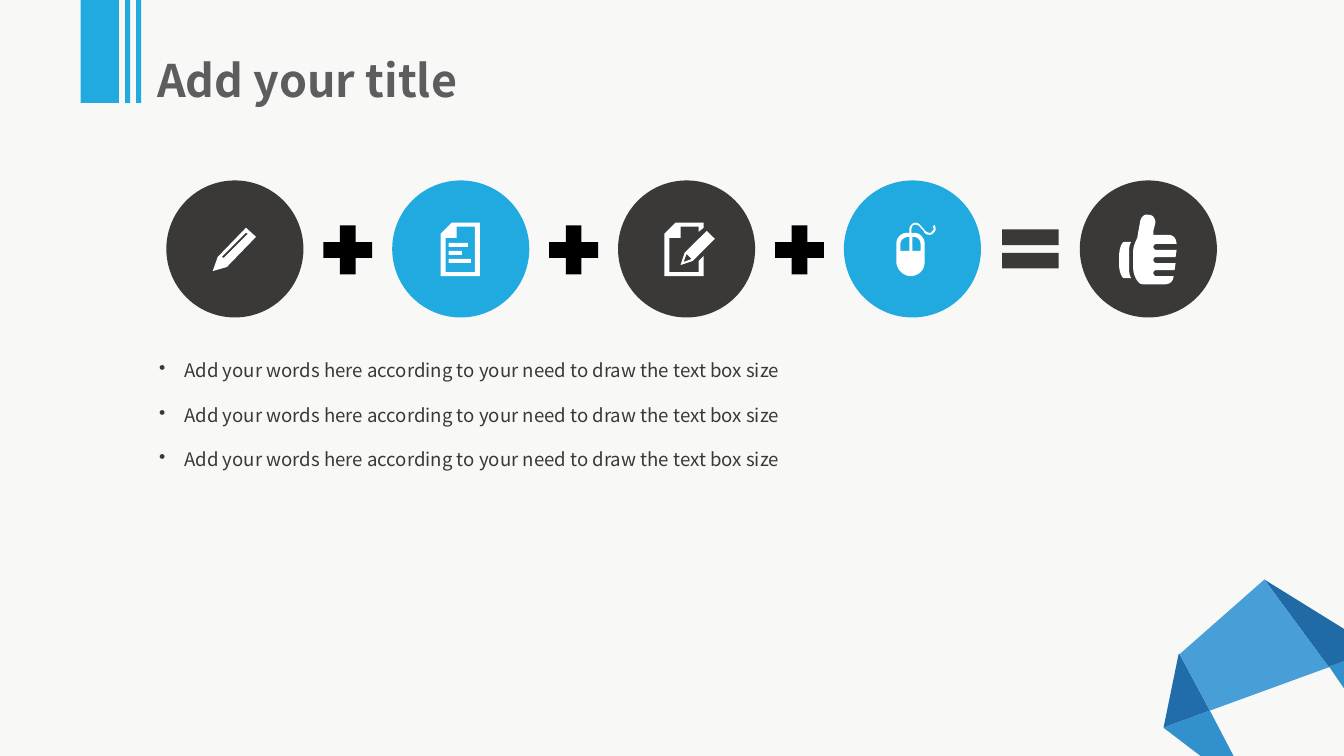
from lxml.etree import SubElement
from pptx import Presentation
from pptx.dml.color import RGBColor
from pptx.enum.shapes import MSO_SHAPE
from pptx.enum.text import MSO_ANCHOR, MSO_AUTO_SIZE, PP_ALIGN
from pptx.oxml.ns import qn
from pptx.util import Inches, Pt

COLORS = {
    "back": "F8F8F6", "dark": "3B3838", "blue": "21AAE0", "white": "FFFFFF",
    "black": "000000", "title": "5C5D5F", "navy": "216DAB", "deep": "206BA5",
    "mid": "3290CD", "light": "489ED7", "edge": "3291CA",
}

# Outlines in hundredths of an inch: "x,y" is a line, "a:b:c" a curve
FOLDS = [
    ("navy", ["1154,722 1169,649 1170,649 1200,705"]),
    ("deep", ["1318,662 1254,575 1333,624 1333,656"]),
    ("mid", ["1224,751 1192,751 1154,722 1200,705"]),
    ("light", ["1200,705 1170,649 1254,575 1318,662"]),
    ("edge", ["1333,683 1318,661 1333,656"]),
]
PENCIL = ["244,231 220,255 222,256 246,232",
          "244,226 254,235 225,265 211,269 216,255"]
PAGE = ["445,257 467,257 467,261 445,261",
        "445,249 458,249 458,253 445,253",
        "445,241 464,241 464,245 445,245",
        "453,225 453,236 442,236 442,270 471,270 471,225",
        "448,221 476,221 476,274 437,274 437,232"]
EDIT = ["681,252 678,260 686,257",
        "701,229 709,237 687,259 675,263 679,251",
        "670,221 698,221 698,226 693,230 693,225 675,225 675,236 664,236 "
        "664,270 693,270 693,259 698,254 698,274 659,274 659,232"]
MOUSE = ["905,235 905,249 913,249 913,242 913,238:910,235:906,235",
         "901,235 897,235:893,238:893,242 893,249 902,249 902,235",
         "908,221 910,221:912,222:914,225 916,227 918,230:920,231:922,231 "
         "923,231:924,231:924,230 925,229:926,228:926,227 "
         "926,226:925,225:925,225 927,223 928,227 928,229:927,230:926,231 "
         "925,232:924,233:922,233 919,233:917,232:916,229 913,226 "
         "912,224:910,223:908,223 907,223:906,223:905,224 "
         "905,225:904,226:904,227 904,231 907,231 912,231:917,236:917,241 "
         "917,261 917,268:911,274:903,274 896,274:890,268:889,261 "
         "889,241 889,236:894,231:899,231 902,231 902,227 "
         "902,225:903,224:904,223 905,222:906,221:908,221"]
THUMB = ["1115,240 1122,240 1120,243:1120,246:1120,249 1120,267 "
         "1120,270:1120,273:1122,276 1115,276 1112,276:1110,267:1110,264 "
         "1110,253 1110,249:1112,240:1115,240",
         "1139,213 1144,213:1146,217:1146,221 1144,229 1144,233 1159,233 "
         "1164,233:1167,237:1167,242 1147,242 1145,242:1144,244:1144,245 "
         "1144,246:1145,248:1147,248 1167,248 1166,255 1147,255 "
         "1145,255:1144,256:1144,258 1144,259:1145,261:1147,261 1166,261 "
         "1165,268 1147,268 1145,268:1144,269:1144,271 "
         "1144,272:1145,274:1147,274 1164,274 1164,279:1160,282:1156,282 "
         "1133,282 1128,282:1124,272:1124,267 1124,248 "
         "1124,245:1126,240:1128,236 1129,230 1131,219 "
         "1132,215:1135,212:1139,213"]


def trace(outline, steps=6):
    """Turn an outline into points in EMU, curves cut into short lines."""
    points = []
    for part in outline.split():
        ends = [tuple(map(float, pair.split(","))) for pair in part.split(":")]
        if len(ends) == 1:
            points += ends
            continue
        a, (b, c, d) = points[-1], ends
        for step in range(1, steps + 1):
            t = step / steps
            u = 1 - t
            points.append(tuple(
                u**3 * a[i] + 3 * u * u * t * b[i] + 3 * u * t * t * c[i] + t**3 * d[i]
                for i in (0, 1)))
    return [(Inches(x / 100), Inches(y / 100)) for x, y in points]


class Deck:
    font = "Noto Sans CJK SC"

    def __init__(self):
        self.file = Presentation()
        self.file.slide_width = Inches(13.33)
        self.file.slide_height = Inches(7.5)
        self.slide = self.file.slides.add_slide(self.file.slide_layouts[5])
        fill = self.slide.background.fill
        fill.solid()
        fill.fore_color.rgb = self.color("back")

    def color(self, name):
        return RGBColor.from_string(COLORS[name])

    def paint(self, shape, color):
        shape.shadow.inherit = False
        shape.fill.solid()
        shape.fill.fore_color.rgb = self.color(color)
        shape.line.fill.background()

    def shape(self, kind, x, y, w, h, color):
        box = map(Inches, (x, y, w, h))
        self.paint(self.slide.shapes.add_shape(kind, *box), color)

    def draw(self, outlines, color):
        first, *rest = [trace(outline) for outline in outlines]
        pen = self.slide.shapes.build_freeform(*first[0], scale=1.0)
        pen.add_line_segments(first[1:], close=True)
        for points in rest:
            pen.move_to(*points[0])
            pen.add_line_segments(points[1:], close=True)
        self.paint(pen.convert_to_shape(), color)

    def label(self, para, text, size, color, bold=False):
        run = para.add_run()
        run.text = text
        run.font.name = self.font
        run.font.size = Pt(size)
        run.font.bold = bold
        run.font.color.rgb = self.color(color)

    def title(self, text, x, y, w, h):
        shape = self.slide.shapes.title
        shape.left, shape.top, shape.width, shape.height = map(Inches, (x, y, w, h))
        frame = shape.text_frame
        frame.margin_left = frame.margin_right = 0
        frame.margin_top = frame.margin_bottom = 0
        frame.word_wrap = True
        frame.vertical_anchor = MSO_ANCHOR.TOP
        frame.auto_size = MSO_AUTO_SIZE.SHAPE_TO_FIT_TEXT
        para = frame.paragraphs[0]
        para.alignment = PP_ALIGN.LEFT
        para.line_spacing = 1.2
        self.label(para, text, 32, "title", True)

    def bullets(self, lines, x, y, w, h):
        frame = self.slide.shapes.add_textbox(*map(Inches, (x, y, w, h))).text_frame
        frame.word_wrap = True
        frame.auto_size = MSO_AUTO_SIZE.SHAPE_TO_FIT_TEXT
        for i, line in enumerate(lines):
            para = frame.add_paragraph() if i else frame.paragraphs[0]
            props = para._p.get_or_add_pPr()
            props.set("marL", str(Inches(0.26)))
            props.set("indent", str(Inches(-0.25)))
            SubElement(props, qn("a:buChar")).set("char", "•")
            para.alignment = PP_ALIGN.JUSTIFY
            para.line_spacing = 1.5
            para.space_before = Pt(8 if i else 0)
            self.label(para, line, 13.3, "dark")


def main():
    deck = Deck()

    # Folded paper in the corner
    for color, outlines in FOLDS:
        deck.draw(outlines, color)

    # Plus and equal signs
    step = 2.24
    for i in range(3):
        deck.shape(MSO_SHAPE.MATH_PLUS, 3.12 + i * step, 2.15, 0.66, 0.66, "black")
    deck.shape(MSO_SHAPE.MATH_EQUAL, 9.84, 2.14, 0.76, 0.66, "dark")

    # Discs with icons
    icons = [PENCIL, PAGE, EDIT, MOUSE, THUMB]
    lefts = [1.65 + i * step for i in range(4)] + [10.71]
    for i, (icon, left) in enumerate(zip(icons, lefts)):
        deck.shape(MSO_SHAPE.OVAL, left, 1.79, 1.36, 1.36, "blue" if i % 2 else "dark")
        deck.draw(icon, "white")

    # Text
    deck.bullets(["Add your words here according to your need to draw the text box size"] * 3,
                 1.47, 3.4, 10.4, 1.34)
    deck.title("Add your title", 1.56, 0.42, 3.97, 0.65)

    # Bars beside the title
    for left, width in [(0.8, 0.38), (1.24, 0.05), (1.35, 0.05)]:
        deck.shape(MSO_SHAPE.RECTANGLE, left, 0, width, 1.02, "blue")

    deck.file.save("out.pptx")


if __name__ == "__main__":
    main()
